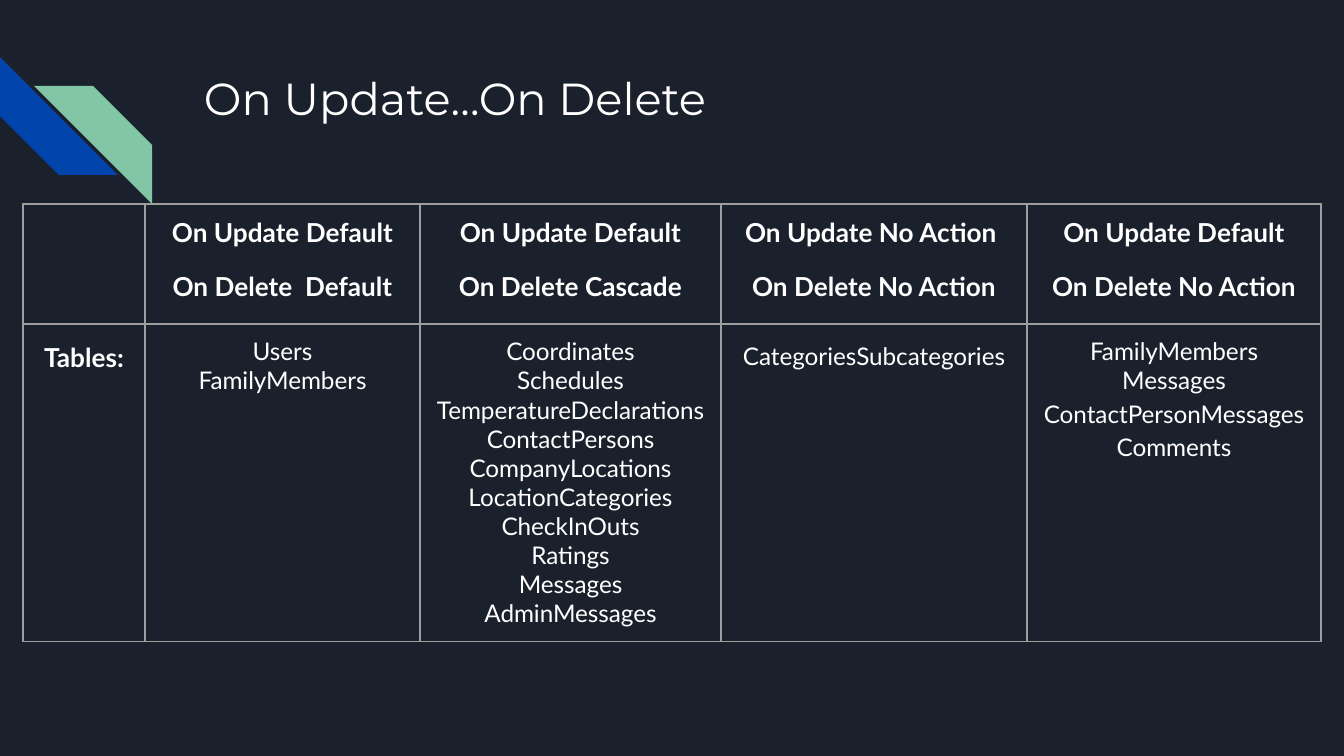
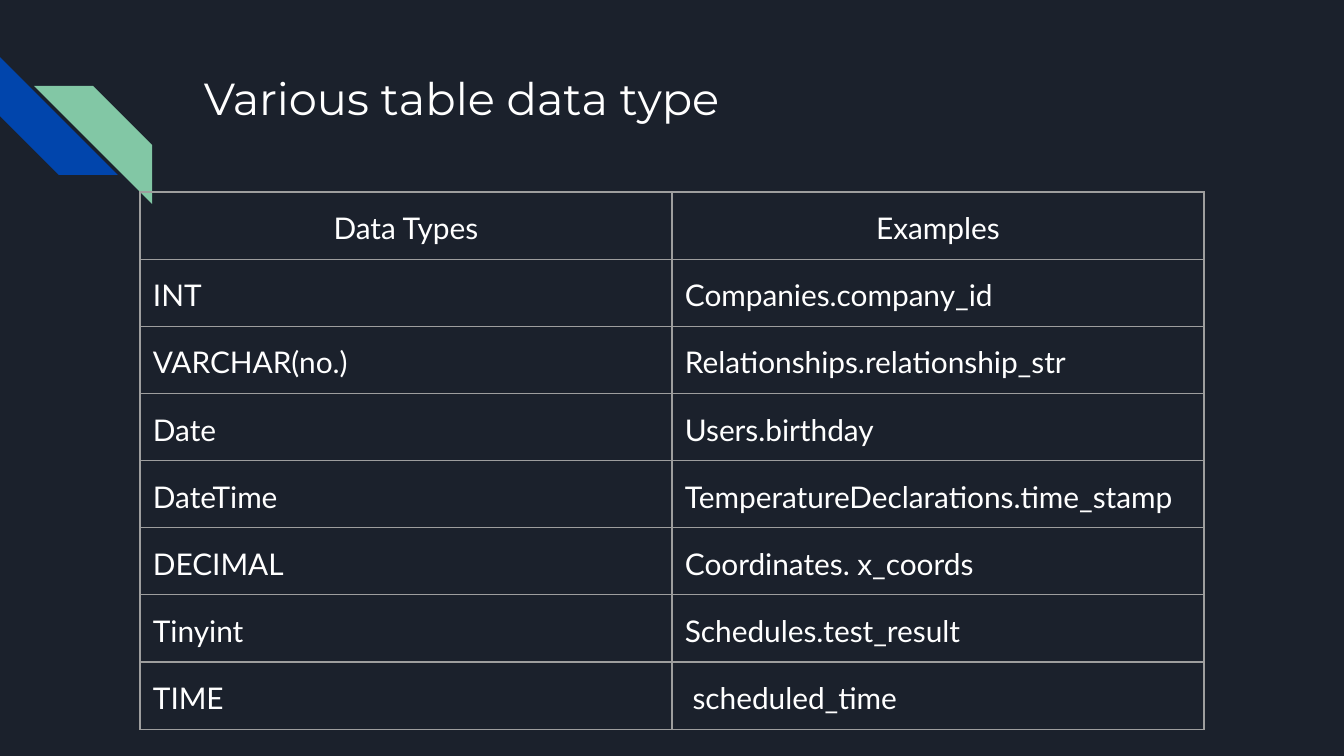
from lxml.etree import SubElement
from pptx import Presentation
from pptx.dml.color import RGBColor
from pptx.enum.shapes import MSO_SHAPE
from pptx.enum.text import PP_ALIGN
from pptx.oxml.ns import qn
from pptx.util import Emu, Pt

COLORS = {
    "night": "1B212C",
    "blue": "0145AC",
    "green": "82C7A5",
    "white": "FFFFFF",
    "grid": "9E9E9E",
}
SCALE = 914400 / 134.4
INSET = 13

STRIPES = [
    ("blue", 0, 57, 270),
    ("green", 34, 86, 90),
]
STRIPE_SIZE = 118

HEADING = {"size": 14, "bold": True, "align": PP_ALIGN.CENTER}
SECOND_HEADING = {**HEADING, "before": 12, "after": 12}
ROW_LABEL = {**HEADING, "spacing": 1.15, "after": 12}
ITEM = {"size": 13, "align": PP_ALIGN.CENTER}
LOOSE_ITEM = {**ITEM, "spacing": 1.15}
TYPE_CELL = {"size": 16, "spacing": 1.15, "after": 12}
TYPE_HEADING = {**TYPE_CELL, "align": PP_ALIGN.CENTER}

RULES = [
    ("On Update Default", "On Delete  Default", ["Users", "FamilyMembers"], []),
    ("On Update Default", "On Delete Cascade",
     ["Coordinates", "Schedules", "TemperatureDeclarations", "ContactPersons",
      "CompanyLocations", "LocationCategories", "CheckInOuts", "Ratings",
      "Messages", "AdminMessages"], []),
    ("On Update No Action ", "On Delete No Action", [], ["CategoriesSubcategories"]),
    ("On Update Default", "On Delete No Action",
     ["FamilyMembers", "Messages"], ["ContactPersonMessages", "Comments"]),
]

DATA_TYPES = [
    ("Data Types", "Examples"),
    ("INT", "Companies.company_id"),
    ("VARCHAR(no.)", "Relationships.relationship_str"),
    ("Date", "Users.birthday"),
    ("DateTime", "TemperatureDeclarations.time_stamp"),
    ("DECIMAL", "Coordinates. x_coords"),
    ("Tinyint", "Schedules.test_result"),
    ("TIME", " scheduled_time"),
]


def px(length):
    return Emu(round(length * SCALE))


def color(name):
    return RGBColor.from_string(COLORS[name])


def write(para, text, font="Lato", size=16, bold=False, align=None,
          spacing=None, before=0, after=0):
    para.alignment = align
    para.line_spacing = spacing
    para.space_before = Pt(before)
    para.space_after = Pt(after)
    span = para.add_run()
    span.text = text
    span.font.name = font
    span.font.size = Pt(size)
    span.font.bold = bold
    span.font.color.rgb = color("white")


def set_insets(target):
    target.margin_left = target.margin_right = px(INSET)
    target.margin_top = target.margin_bottom = px(INSET)


def add_page(deck, title):
    page = deck.slides.add_slide(deck.slide_layouts[6])
    for fill, left, top, rotation in STRIPES:
        stripe = page.shapes.add_shape(
            MSO_SHAPE.DIAGONAL_STRIPE, px(left), px(top), px(STRIPE_SIZE), px(STRIPE_SIZE))
        stripe.rotation = rotation
        stripe.shadow.inherit = False
        stripe.fill.solid()
        stripe.fill.fore_color.rgb = color(fill)
        stripe.line.fill.background()
    box = page.shapes.add_textbox(px(191), px(58), px(1035), px(134))
    box.text_frame.word_wrap = True
    set_insets(box.text_frame)
    write(box.text_frame.paragraphs[0], title, font="Montserrat", size=24)
    return page


def draw_borders(cell):
    properties = cell._tc.get_or_add_tcPr()
    for side in ("lnL", "lnR", "lnT", "lnB"):
        line = SubElement(properties, qn(f"a:{side}"), w=str(Pt(0.75)))
        fill = SubElement(line, qn("a:solidFill"))
        SubElement(fill, qn("a:srgbClr"), val=COLORS["grid"])


def add_grid(page, left, top, widths, heights, rows):
    table = page.shapes.add_table(
        len(heights), len(widths), px(left), px(top),
        px(sum(widths)), px(sum(heights))).table
    table.first_row = table.horz_banding = False
    for column, width in zip(table.columns, widths):
        column.width = px(width)
    for row, height, contents in zip(table.rows, heights, rows):
        row.height = px(height)
        for cell, lines in zip(row.cells, contents):
            draw_borders(cell)
            cell.fill.background()
            set_insets(cell)
            frame = cell.text_frame
            for index, (text, style) in enumerate(lines):
                para = frame.add_paragraph() if index else frame.paragraphs[0]
                write(para, text, **style)


def add_rules_page(deck):
    page = add_page(deck, "On Update…On Delete")
    headings = [[]]
    names = [[("Tables:", ROW_LABEL)]]
    for update, delete, items, loose_items in RULES:
        headings.append([(update, HEADING), (delete, SECOND_HEADING)])
        names.append([(item, ITEM) for item in items]
                     + [(item, LOOSE_ITEM) for item in loose_items])
    add_grid(page, 23, 204, [122, 275, 301, 306, 294], [120, 296], [headings, names])


def add_types_page(deck):
    page = add_page(deck, "Various table data type")
    rows = [[[(text, TYPE_CELL if index else TYPE_HEADING)] for text in pair]
            for index, pair in enumerate(DATA_TYPES)]
    add_grid(page, 140, 192, [532] * 2, [56] * len(rows), rows)


def main():
    deck = Presentation()
    deck.slide_width, deck.slide_height = px(1344), px(756)
    background = deck.slide_master.background.fill
    background.solid()
    background.fore_color.rgb = color("night")
    add_rules_page(deck)
    add_types_page(deck)
    deck.save("out.pptx")


if __name__ == "__main__":
    main()
